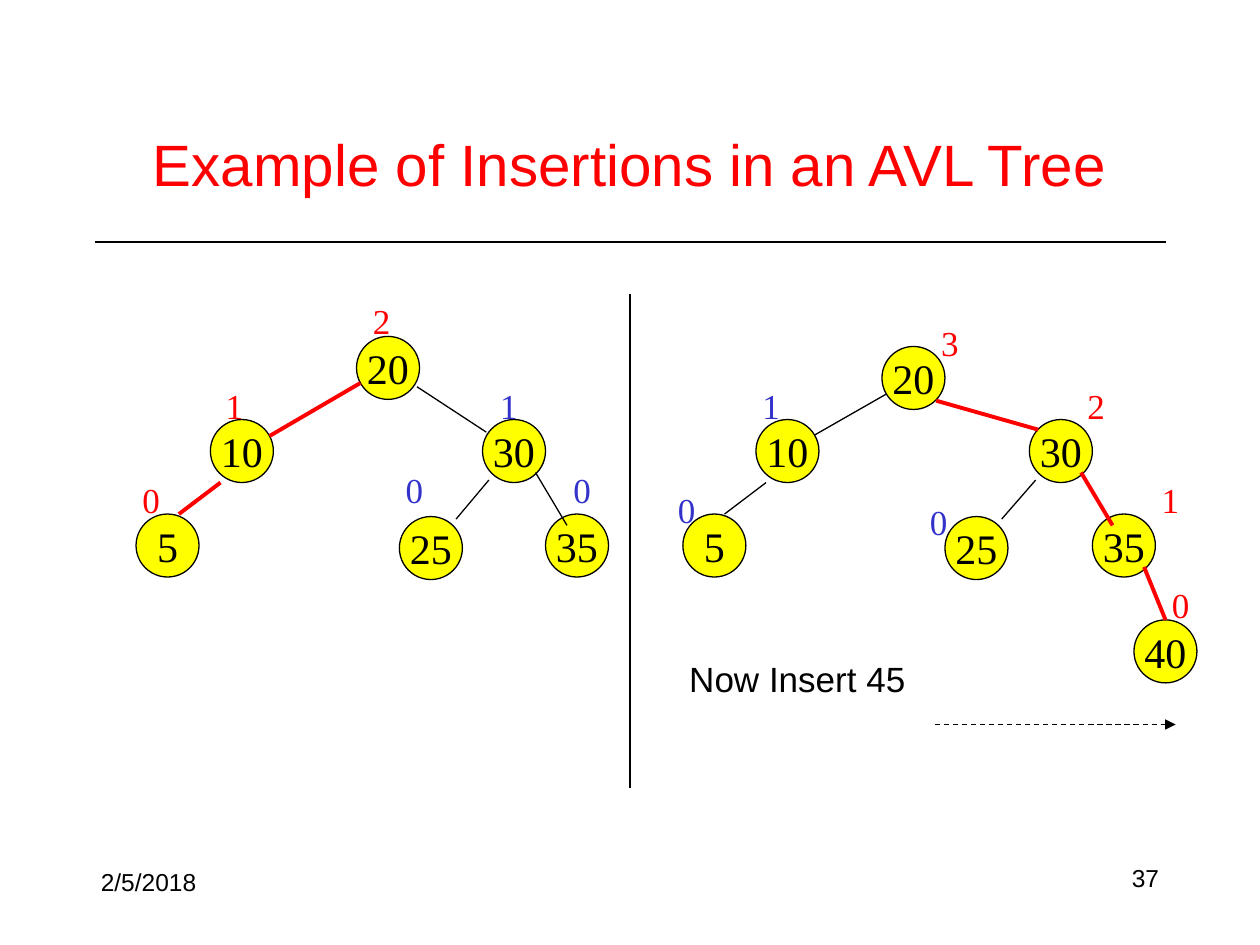
"""Builds a slide showing two AVL trees with node heights and insertion paths."""
from lxml import etree
from pptx import Presentation, util as u
from pptx.dml.color import RGBColor
from pptx.enum import dml, shapes, text
from pptx.oxml.ns import qn

THEME = {
    "ink": "000000", "hot": "FF0000", "cool": "3333CC", "node": "FFFF00",
    "sans": "Arial", "serif": "Times New Roman",
    "title": 33.3, "key": 24, "label": 20, "foot": 14,
    "thin": 0.75, "thick": 2.25, "size": 0.5, "pad": 0.05,
}
TITLE = "Example of Insertions in an AVL Tree"
TREES = [
    {
        "nodes": [("20", 2.83, 2.67), ("10", 1.67, 3.33), ("30", 3.83, 3.33),
                  ("25", 3.17, 4.1), ("35", 4.33, 4.08), ("5", 1.08, 4.08)],
        "edges": [(2.86, 3.04, 2.14, 3.46, "hot"), (3.31, 3.07, 3.86, 3.43, "ink"),
                  (3.88, 3.81, 3.62, 4.12, "ink"), (4.25, 3.75, 4.5, 4.17, "ink"),
                  (1.75, 3.83, 1.42, 4.08, "hot")],
        "heights": [("2", 2.91, 2.33, "hot"), ("1", 1.74, 3, "hot"),
                    ("1", 3.92, 3, "cool"), ("0", 3.17, 3.67, "cool"),
                    ("0", 4.5, 3.67, "cool"), ("0", 1.08, 3.75, "hot")],
    },
    {
        "nodes": [("20", 7, 2.75), ("10", 6, 3.33), ("30", 8.17, 3.33),
                  ("25", 7.5, 4.1), ("35", 8.67, 4.08), ("5", 5.42, 4.08),
                  ("40", 9, 4.92)],
        "edges": [(7.03, 3.13, 6.47, 3.45, "ink"), (7.43, 3.18, 8.24, 3.41, "hot"),
                  (8.22, 3.81, 7.95, 4.12, "ink"), (8.58, 3.75, 8.83, 4.17, "hot"),
                  (6.08, 3.83, 5.75, 4.08, "ink"), (9.08, 4.5, 9.25, 4.92, "hot")],
        "heights": [("3", 7.42, 2.5, "hot"), ("1", 6, 3, "cool"),
                    ("2", 8.58, 3, "hot"), ("0", 5.33, 3.83, "cool"),
                    ("0", 7.33, 3.92, "cool"), ("1", 9.17, 3.75, "hot"),
                    ("0", 9.25, 4.58, "hot")],
    },
]
RULES = [(0.75, 1.92, 9.25, 1.92), (5, 2.33, 5, 6.25)]
ARROW = (7.42, 5.75, 9.33, 5.75)
NOTES = [("Now Insert 45", (5.42, 5.17, 1.92, 0.41), "label", "LEFT", 1),
         ("2/5/2018", (0.75, 6.83, 2.08, 0.34), "foot", "LEFT", 1),
         ("37", (7.17, 6.83, 2.08, 0.32), "foot", "RIGHT", 0.9)]


def tint(name):
    return RGBColor.from_string(THEME[name])


def write(shape, words, size, font="sans", color="ink", align="LEFT",
          anchor="TOP", pad=THEME["pad"], wrap=True):
    frame = shape.text_frame
    frame.text = words
    frame.word_wrap = wrap
    frame.auto_size = text.MSO_AUTO_SIZE.NONE
    frame.vertical_anchor = text.MSO_ANCHOR[anchor]
    frame.margin_left = frame.margin_right = u.Inches(pad)
    frame.margin_top = frame.margin_bottom = u.Inches(pad)
    para = frame.paragraphs[0]
    para.alignment = text.PP_ALIGN[align]
    face = para.runs[0].font
    face.name, face.size = THEME[font], u.Pt(THEME[size])
    face.color.rgb = tint(color)
    return para


def add_text(slide, words, box, size, **style):
    return write(slide.shapes.add_textbox(*map(u.Inches, box)), words, size, **style)


def add_line(slide, ends, color="ink"):
    line = slide.shapes.add_connector(
        shapes.MSO_CONNECTOR.STRAIGHT, *map(u.Inches, ends))
    line.line.color.rgb = tint(color)
    line.line.width = u.Pt(THEME["thick" if color == "hot" else "thin"])
    etree.SubElement(line._element.spPr, qn("a:effectLst"))
    return line


def add_node(slide, key, left, top):
    side = THEME["size"]
    node = slide.shapes.add_shape(
        shapes.MSO_SHAPE.OVAL, *map(u.Inches, (left, top, side, side)))
    node.shadow.inherit = False
    node.fill.solid()
    node.fill.fore_color.rgb = tint("node")
    node.line.color.rgb = tint("ink")
    node.line.width = u.Pt(THEME["thin"])
    write(node, key, "key", font="serif", align="CENTER", anchor="MIDDLE",
          pad=0, wrap=False)


def add_tree(slide, tree):
    for node in tree["nodes"]:
        add_node(slide, *node)
    for *ends, color in tree["edges"]:
        add_line(slide, ends, color)
    for words, left, top, color in tree["heights"]:
        add_text(slide, words, (left, top, 0.34, 0.41), "label",
                 font="serif", color=color)


def main():
    deck = Presentation()
    deck.slide_width, deck.slide_height = u.Inches(10), u.Inches(7.5)
    slide = deck.slides.add_slide(deck.slide_layouts[5])
    title = slide.shapes.title
    title.left, title.top, title.width, title.height = map(
        u.Inches, (0.75, 0.67, 8.5, 1.25))
    write(title, TITLE, "title", color="hot", align="CENTER", anchor="MIDDLE")
    for ends in RULES:
        add_line(slide, ends)
    for tree in TREES:
        add_tree(slide, tree)
    for words, box, size, align, space in NOTES:
        add_text(slide, words, box, size, align=align).line_spacing = space
    arrow = add_line(slide, ARROW)
    arrow.line.dash_style = dml.MSO_LINE.DASH
    etree.SubElement(arrow.line._get_or_add_ln(), qn("a:tailEnd"), type="triangle")
    deck.save("out.pptx")


if __name__ == "__main__":
    main()
